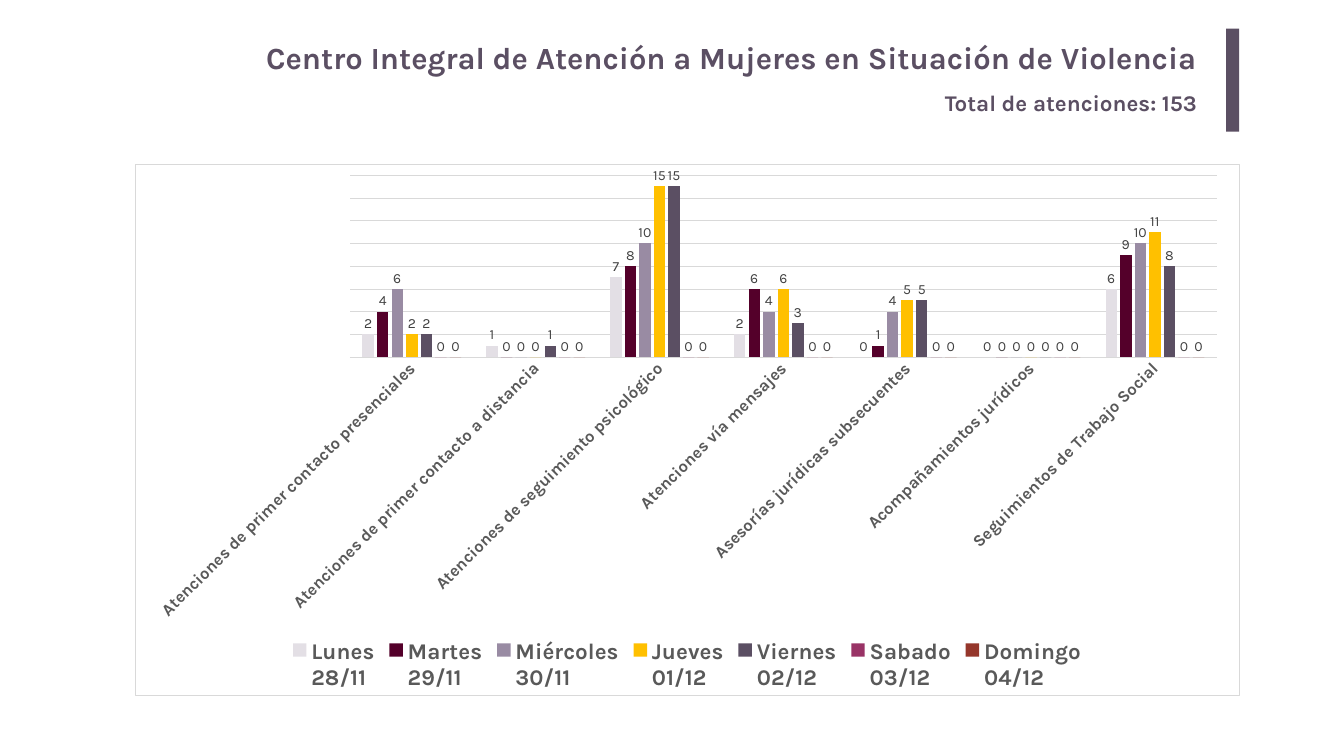
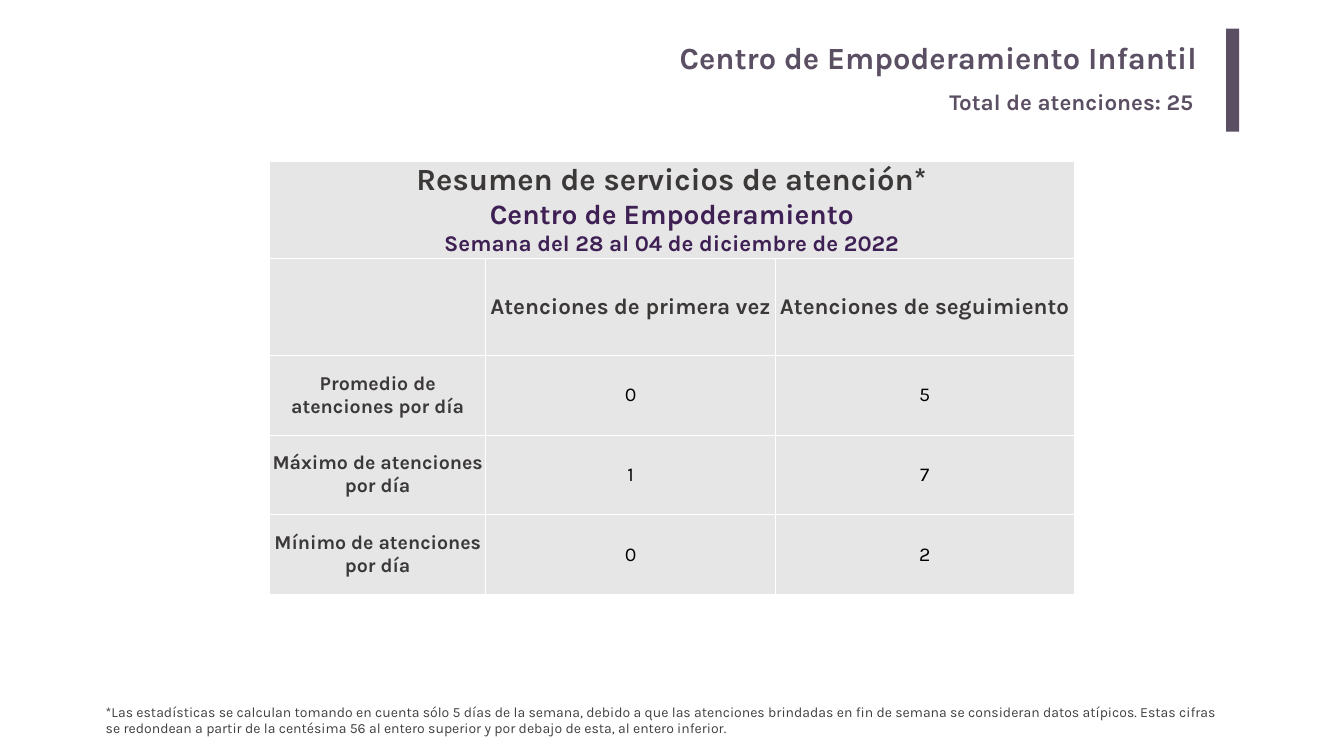
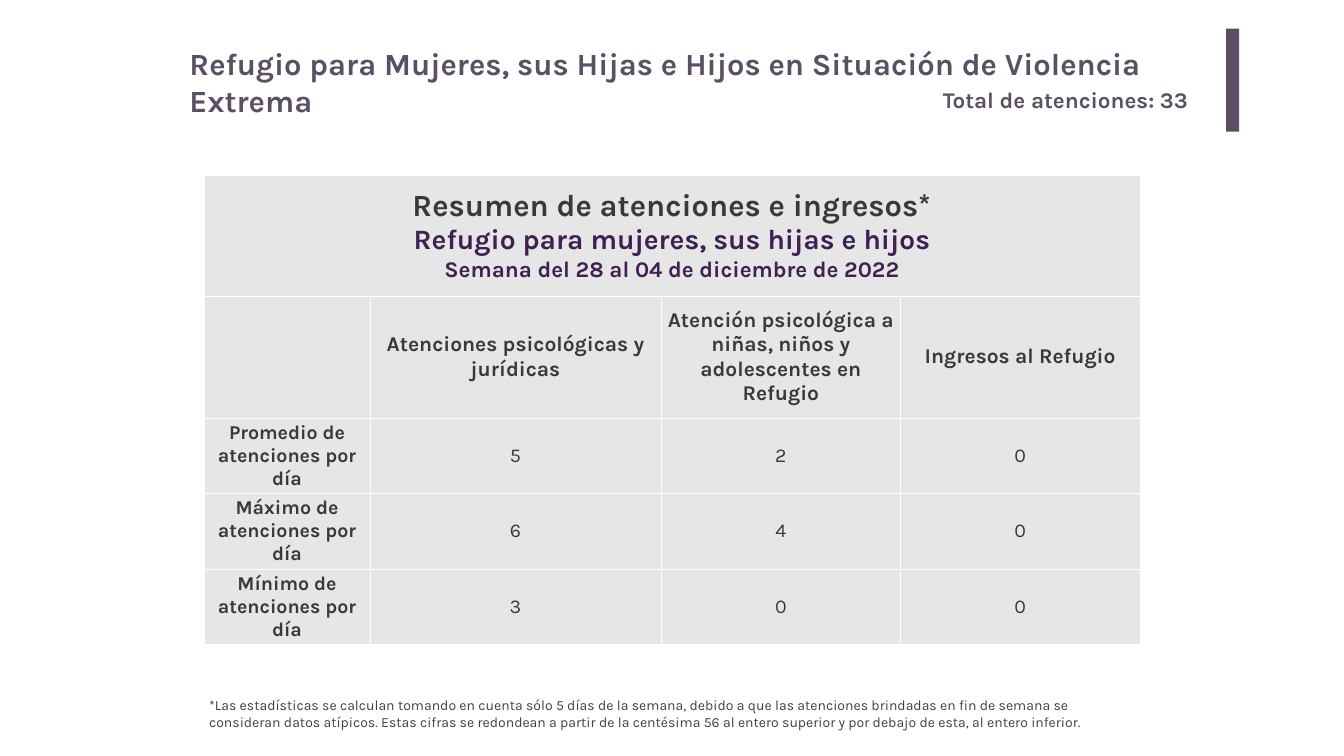
from lxml.etree import SubElement, fromstring
from pptx import Presentation
from pptx.chart.data import CategoryChartData
from pptx.dml.color import RGBColor
from pptx.enum.chart import XL_CHART_TYPE as ChartType
from pptx.enum.chart import XL_LABEL_POSITION as LabelPosition
from pptx.enum.chart import XL_LEGEND_POSITION as LegendPosition
from pptx.enum.chart import XL_TICK_MARK as TickMark
from pptx.enum.shapes import MSO_SHAPE as Shape
from pptx.enum.text import MSO_ANCHOR as Anchor
from pptx.enum.text import MSO_AUTO_SIZE as AutoSize
from pptx.enum.text import PP_ALIGN as Align
from pptx.oxml.ns import nsdecls, qn
from pptx.util import Inches, Pt

FONT = "Karla"
COLORS = {
    "accent": "5B4F63", "white": "FFFFFF", "grid": "D9D9D9", "axis": "595959",
    "note": "404040", "cell": "E7E6E6", "heading": "3B3838", "purple": "3E2054",
    "black": "000000", "lilac": "E3DFE5", "wine": "54002A", "mauve": "998BA3",
    "amber": "FFC000", "magenta": "993366", "brick": "95372B",
}
TITLE_SIZE, SUBTITLE_SIZE, BODY_SIZE, NOTE_SIZE = 44, 32, 28, 20
WIDE_TITLE = (3.66, 0.67, 20.3, 1.02)
WEEK = "Semana del 28 al 04 de diciembre de 2022"
NOTE = ("*Las estadísticas se calculan tomando en cuenta sólo 5 días de la semana, debido a que "
        "las atenciones brindadas en fin de semana se consideran datos atípicos. Estas cifras se "
        "redondean a partir de la centésima 56 al entero superior y por debajo de esta, al entero "
        "inferior.")
STATISTICS = ("Promedio", "Máximo", "Mínimo")
SERVICES = (
    "Atenciones de primer contacto presenciales",
    "Atenciones de primer contacto a distancia",
    "Atenciones de seguimiento psicológico",
    "Atenciones vía mensajes",
    "Asesorías jurídicas subsecuentes",
    "Acompañamientos jurídicos",
    "Seguimientos de Trabajo Social",
)
DAYS = (
    ("Lunes", "28/11", "lilac", (2, 1, 7, 2, 0, 0, 6)),
    ("Martes", "29/11", "wine", (4, 0, 8, 6, 1, 0, 9)),
    ("Miércoles", "30/11", "mauve", (6, 0, 10, 4, 4, 0, 10)),
    ("Jueves", "01/12", "amber", (2, 0, 15, 6, 5, 0, 11)),
    ("Viernes", "02/12", "accent", (2, 1, 15, 3, 5, 0, 8)),
    ("Sabado", "03/12", "magenta", (0,) * 7),
    ("Domingo", "04/12", "brick", (0,) * 7),
)


def color(name):
    """Return the named palette colour."""
    return RGBColor.from_string(COLORS[name])


def box(lengths):
    """Convert left, top, width and height to Inches."""
    return [Inches(length) for length in lengths]


class Deck:
    """Holds the shared style and the current slide."""

    def __init__(self):
        """Create an empty wide presentation."""
        self.presentation = Presentation()
        self.presentation.slide_width = Inches(26.67)
        self.presentation.slide_height = Inches(15)
        self.slide = None

    def style(self, font, size, name, bold=False):
        """Apply the deck font with a size, colour and weight."""
        font.name, font.size, font.bold = FONT, Pt(size), bold
        font.color.rgb = color(name)

    def add_slide(self, title, place, total, total_place, align=Align.RIGHT, inset=(0.2, 0.1)):
        """Start a slide with its title, total and side band."""
        self.slide = self.presentation.slides.add_slide(self.presentation.slide_layouts[5])
        shape = self.slide.shapes.title
        shape.left, shape.top, shape.width, shape.height = box(place)
        frame = shape.text_frame
        frame.text, frame.word_wrap, frame.auto_size = title, True, AutoSize.NONE
        frame.vertical_anchor = Anchor.TOP
        frame.margin_left = frame.margin_right = Inches(inset[0])
        frame.margin_top = frame.margin_bottom = Inches(inset[1])
        paragraph = frame.paragraphs[0]
        paragraph.alignment = align
        self.style(paragraph.font, TITLE_SIZE, "accent", True)
        self.text(f"Total de atenciones: {total}", total_place, SUBTITLE_SIZE, "accent", True)
        band = self.slide.shapes.add_shape(Shape.RECTANGLE, *box((24.33, 0.57, 0.26, 2.04)))
        band.shadow.inherit = False
        band.fill.solid()
        band.fill.fore_color.rgb = color("accent")
        band.line.fill.background()

    def text(self, text, place, size, name, bold=False):
        """Add a wrapped text box."""
        frame = self.slide.shapes.add_textbox(*box(place)).text_frame
        frame.word_wrap = True
        frame.text = text
        self.style(frame.paragraphs[0].font, size, name, bold)

    def cell(self, cell, lines):
        """Fill a cell with lines of (text, size, colour, bold)."""
        cell.margin_left = cell.margin_right = cell.margin_top = cell.margin_bottom = 0
        cell.vertical_anchor = Anchor.MIDDLE
        cell.fill.solid()
        cell.fill.fore_color.rgb = color("cell")
        properties = cell._tc.get_or_add_tcPr()
        for index, side in enumerate(("lnL", "lnR", "lnT", "lnB")):
            properties.insert(index, fromstring(
                f'<a:{side} {nsdecls("a")} w="12700"><a:solidFill>'
                f'<a:srgbClr val="{COLORS["white"]}"/></a:solidFill></a:{side}>'))
        if not lines:
            return
        cell.text = "\n".join(line[0] for line in lines)
        for paragraph, (_, *look) in zip(cell.text_frame.paragraphs, lines):
            paragraph.alignment = Align.CENTER
            self.style(paragraph.font, *look)

    def summary(self, place, widths, heights, titles, headers, header_size, values, value_color):
        """Add a table of daily statistics under a merged heading."""
        shape = self.slide.shapes.add_table(len(heights), len(widths), *box(place))
        table = shape.table
        table.first_row = table.horz_banding = False
        for column, width in zip(table.columns, widths):
            column.width = Inches(width)
        for row, height in zip(table.rows, heights):
            row.height = Inches(height)
        heading = [(titles[0], TITLE_SIZE, "heading", True), (titles[1], 40, "purple", True),
                   (WEEK, SUBTITLE_SIZE, "purple", True)]
        blanks = [[] for _ in headers]
        rows = [[heading, *blanks],
                [[], *[[(header, header_size, "heading", True)] for header in headers]]]
        for statistic, numbers in zip(STATISTICS, values):
            label = (f"{statistic} de atenciones por día", BODY_SIZE, "heading", True)
            rows.append([[label], *[[(str(number), BODY_SIZE, value_color, False)]
                                    for number in numbers]])
        for row_index, row in enumerate(rows):
            for column_index, lines in enumerate(row):
                self.cell(table.cell(row_index, column_index), lines)
        table.cell(0, 0).merge(table.cell(0, len(headers)))

    def column_chart(self, place):
        """Add the chart of services by day."""
        data = CategoryChartData()
        data.categories = SERVICES
        for day, date, _, values in DAYS:
            data.add_series(f"{day}\n{date}", values)
        chart = self.slide.shapes.add_chart(ChartType.COLUMN_CLUSTERED, *box(place), data).chart
        chart.has_title = False
        self.style(chart.font, 10, "black")
        self.chart_frame(chart)
        chart.has_legend = True
        chart.legend.position = LegendPosition.BOTTOM
        chart.legend.include_in_layout = False
        self.style(chart.legend.font, SUBTITLE_SIZE, "axis", True)
        plot = chart.plots[0]
        plot.gap_width, plot.overlap, plot.vary_by_categories = 219, -27, False
        for series, (_, _, fill, _) in zip(plot.series, DAYS):
            series.format.fill.solid()
            series.format.fill.fore_color.rgb = color(fill)
            labels = series.data_labels
            labels.show_value, labels.position = True, LabelPosition.OUTSIDE_END
            self.style(labels.font, NOTE_SIZE, "note")
        categories, amounts = chart.category_axis, chart.value_axis
        categories.major_tick_mark = categories.minor_tick_mark = TickMark.NONE
        self.style(categories.tick_labels.font, 24, "axis", True)
        categories._element.find(".//" + qn("a:bodyPr")).set("rot", "-2700000")
        amounts.visible = False
        amounts.minimum_scale, amounts.maximum_scale, amounts.major_unit = 0, 16, 2
        amounts.has_major_gridlines = True
        for line in (categories.format.line, amounts.major_gridlines.format.line):
            line.color.rgb, line.width = color("grid"), Pt(0.75)

    def chart_frame(self, chart):
        """Give the chart area a white fill and a thin border."""
        frame = fromstring(f'<c:spPr {nsdecls("c", "a")}/>')
        border = fromstring(f'<a:ln {nsdecls("a")} w="9525"/>')
        for parent, name in ((frame, "white"), (border, "grid")):
            fill = SubElement(parent, qn("a:solidFill"))
            SubElement(fill, qn("a:srgbClr")).set("val", COLORS[name])
        frame.append(border)
        chart._chartSpace.find(qn("c:txPr")).addprevious(frame)


def main():
    """Build and save the three slides."""
    deck = Deck()
    deck.add_slide("Centro Integral de Atención a Mujeres en Situación de Violencia", WIDE_TITLE,
                   153, (18.65, 1.71, 5.31, 0.65))
    deck.column_chart((2.68, 3.26, 21.91, 10.55))

    deck.add_slide("Centro de Empoderamiento Infantil", WIDE_TITLE, 25, (18.74, 1.69, 5.28, 0.64))
    deck.summary((5.35, 3.2, 15.96, 8.59), (4.29, 5.75, 5.92), (1.92, 1.92, 1.58, 1.58, 1.58),
                 ("Resumen de servicios de atención*", "Centro de Empoderamiento"),
                 ("Atenciones de primera vez", "Atenciones de seguimiento"), 32,
                 ((0, 5), (1, 7), (0, 2)), "black")
    deck.text(NOTE, (2, 13.9, 22.33, 0.77), NOTE_SIZE, "note")

    deck.add_slide("Refugio para Mujeres, sus Hijas e Hijos en Situación de Violencia Extrema",
                   (3.66, 0.84, 20.73, 0.84), 33, (18.61, 1.65, 5.35, 0.64),
                   Align.LEFT, (0.1, 0.05))
    deck.summary((4.05, 3.47, 18.56, 9.32), (3.29, 5.78, 4.75, 4.75), (2.4, 2.42, 1.5, 1.5, 1.5),
                 ("Resumen de atenciones e ingresos*", "Refugio para mujeres, sus hijas e hijos"),
                 ("Atenciones psicológicas y jurídicas",
                  "Atención psicológica a niñas, niños y adolescentes en Refugio",
                  "Ingresos al Refugio"), 30,
                 ((5, 2, 0), (6, 4, 0), (3, 0, 0)), "heading")
    deck.text(NOTE, (4.05, 13.77, 18.56, 0.77), NOTE_SIZE, "note")
    deck.presentation.save("out.pptx")


if __name__ == "__main__":
    main()
